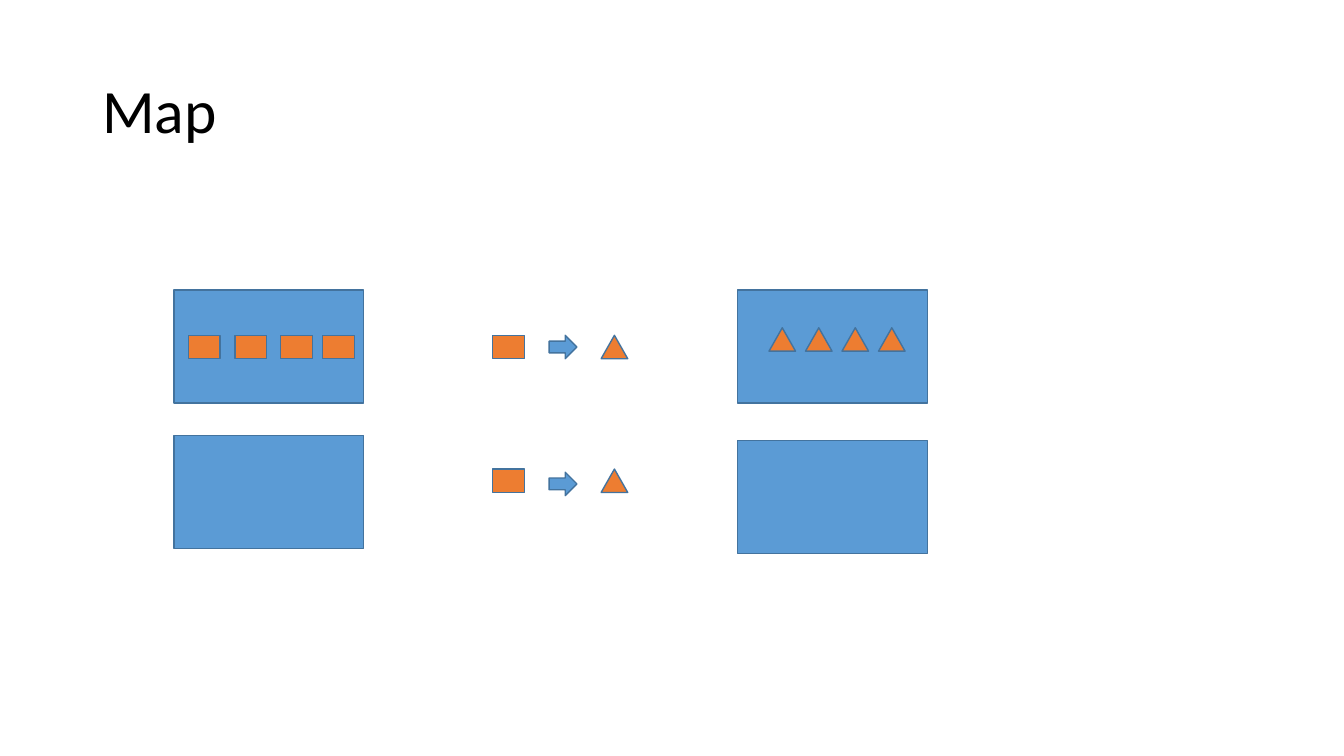
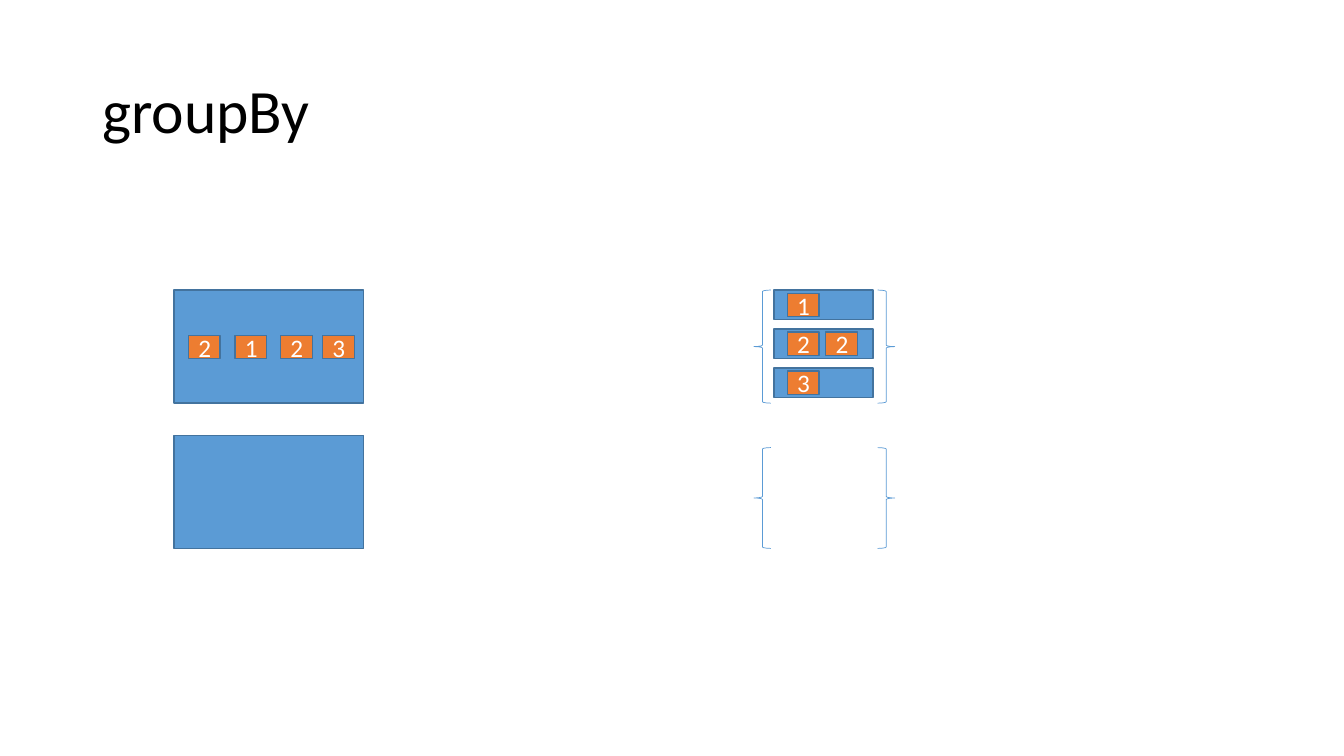
from collections import namedtuple

from pptx import Presentation
from pptx import util as u
from pptx.dml.color import RGBColor
from pptx.enum import shapes, text

BLUE = RGBColor(0x5B, 0x9B, 0xD5)
ORANGE = RGBColor(0xED, 0x7D, 0x31)
OUTLINE = RGBColor(0x43, 0x73, 0x9E)
BLACK = RGBColor(0, 0, 0)
WHITE = RGBColor(255, 255, 255)
FONT = "Calibri"

Box = namedtuple("Box", "left top width height")
Kind = shapes.MSO_SHAPE

PARTITION_LEFT, UPPER_TOP, LOWER_TOP = 4.39, 7.31, 10.97
PARTITION_WIDTH, PARTITION_HEIGHT = 4.78, 2.85
ITEM_WIDTH, ITEM_HEIGHT = 0.8, 0.59
TRIANGLE_WIDTH = 0.67
ITEM_OFFSETS = (0.36, 1.53, 2.68, 3.74)


def lengths(box):
    return [u.Cm(value) for value in box]


def style_text(para, size, color):
    for span in para.runs:
        span.font.name = FONT
        span.font.size = u.Pt(size)
        span.font.color.rgb = color


def add_title(page, title):
    frame = page.shapes.add_textbox(*lengths(Box(2.33, 1.01, 29.21, 3.68))).text_frame
    frame.word_wrap = True
    frame.vertical_anchor = text.MSO_ANCHOR.MIDDLE
    frame.text = title
    para = frame.paragraphs[0]
    para.line_spacing = 0.9
    style_text(para, 44, BLACK)


def add_figure(page, kind, box, fill, label=""):
    figure = page.shapes.add_shape(kind, *lengths(box))
    figure.shadow.inherit = False
    figure.fill.solid()
    figure.fill.fore_color.rgb = fill
    figure.line.color.rgb = OUTLINE
    figure.line.width = u.Pt(1)
    if label:
        frame = figure.text_frame
        frame.text = label
        frame.vertical_anchor = text.MSO_ANCHOR.MIDDLE
        para = frame.paragraphs[0]
        para.alignment = text.PP_ALIGN.CENTER
        style_text(para, 18, WHITE)


def add_item(page, left, top, label=""):
    add_figure(page, Kind.RECTANGLE, Box(left, top, ITEM_WIDTH, ITEM_HEIGHT), ORANGE, label)


def add_triangle(page, left, top):
    box = Box(left, top, TRIANGLE_WIDTH, ITEM_HEIGHT)
    add_figure(page, Kind.ISOSCELES_TRIANGLE, box, ORANGE)


def add_partition(page, left, top):
    box = Box(left, top, PARTITION_WIDTH, PARTITION_HEIGHT)
    add_figure(page, Kind.RECTANGLE, box, BLUE)
    return box


def add_input(page, labels):
    upper = add_partition(page, PARTITION_LEFT, UPPER_TOP)
    for offset, label in zip(ITEM_OFFSETS, labels):
        add_item(page, upper.left + offset, upper.top + 1.14, label)
    add_partition(page, PARTITION_LEFT, LOWER_TOP)


def add_mapping(page, left, top, arrow_drop):
    add_item(page, left, top)
    arrow = Box(left + 1.42, top + arrow_drop, 0.7, ITEM_HEIGHT)
    add_figure(page, Kind.RIGHT_ARROW, arrow, BLUE)
    add_triangle(page, left + 2.73, top)


def add_mapped_output(page, left):
    upper = add_partition(page, left, UPPER_TOP)
    for index in range(4):
        add_triangle(page, upper.left + 0.79 + index * 0.92, upper.top + 0.95)
    add_partition(page, left, LOWER_TOP + 0.13)


def add_braces(page, box):
    width = 0.43
    sides = ((Kind.LEFT_BRACE, box.left), (Kind.RIGHT_BRACE, box.left + box.width - width))
    for kind, left in sides:
        brace = page.shapes.add_shape(kind, *lengths(Box(left, box.top, width, box.height)))
        brace.shadow.inherit = False
        brace.fill.background()
        brace.line.color.rgb = BLUE
        brace.line.width = u.Pt(0.5)


def add_groups(page, box, groups):
    add_braces(page, box)
    for row, labels in enumerate(groups):
        group = Box(box.left + 0.51, box.top + row * 0.98, 2.49, 0.75)
        add_figure(page, Kind.RECTANGLE, group, BLUE)
        for column, label in enumerate(labels):
            add_item(page, group.left + 0.33 + column * 0.97, group.top + 0.08, label)


def build_map(page):
    add_title(page, "Map")
    add_input(page, [""] * 4)
    add_mapping(page, 12.42, 8.45, 0)
    add_mapping(page, 12.42, 11.82, 0.08)
    add_mapped_output(page, 18.59)


def build_group_by(page):
    add_title(page, "groupBy")
    add_input(page, "2123")
    add_groups(page, Box(19, UPPER_TOP, 3.55, PARTITION_HEIGHT), ("1", "22", "3"))
    add_groups(page, Box(19, 11.28, 3.55, 2.54), ())


def main():
    deck = Presentation()
    deck.slide_width = u.Cm(33.87)
    deck.slide_height = u.Cm(19.05)
    for build in (build_map, build_group_by):
        build(deck.slides.add_slide(deck.slide_layouts[6]))
    deck.save("out.pptx")


if __name__ == "__main__":
    main()
